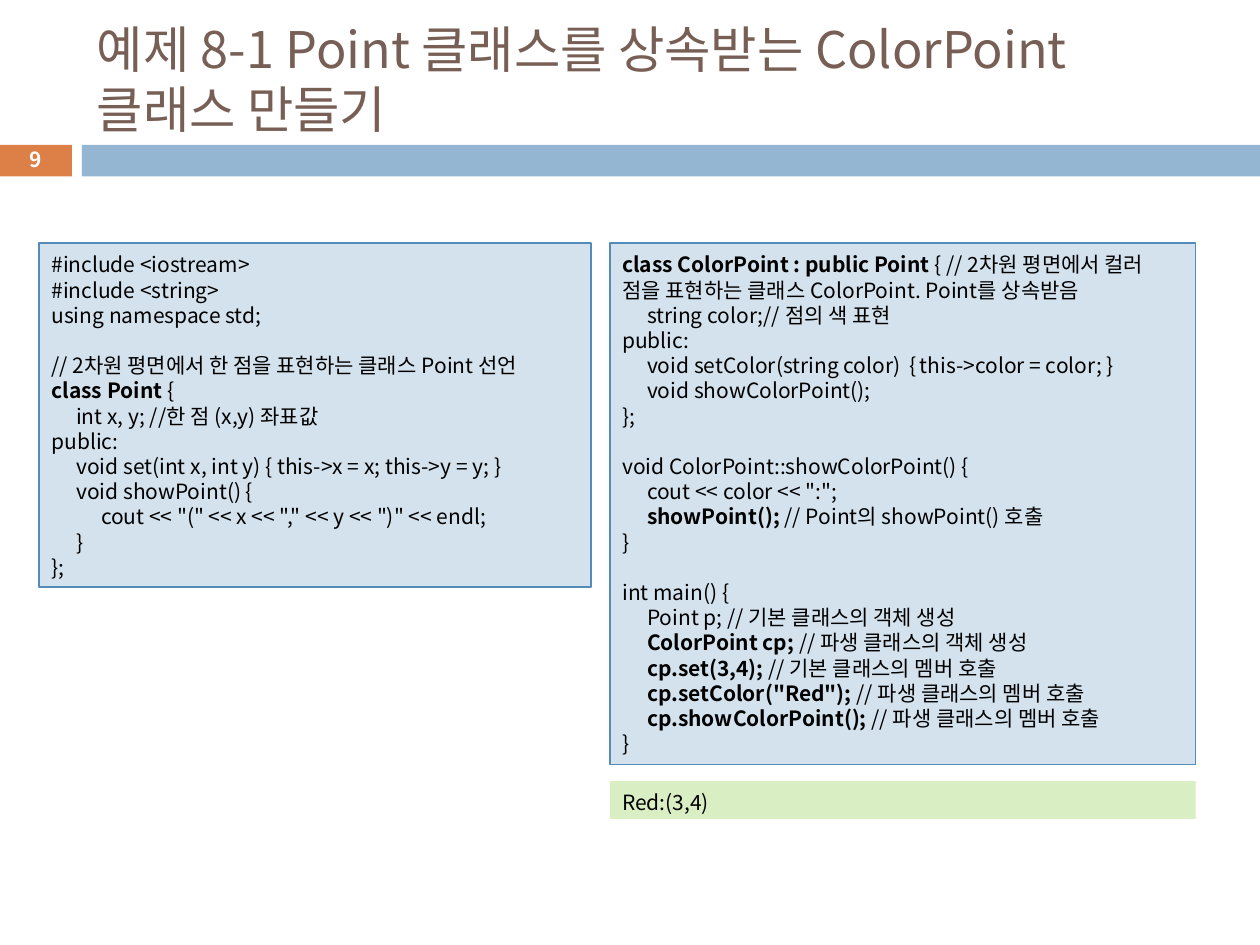
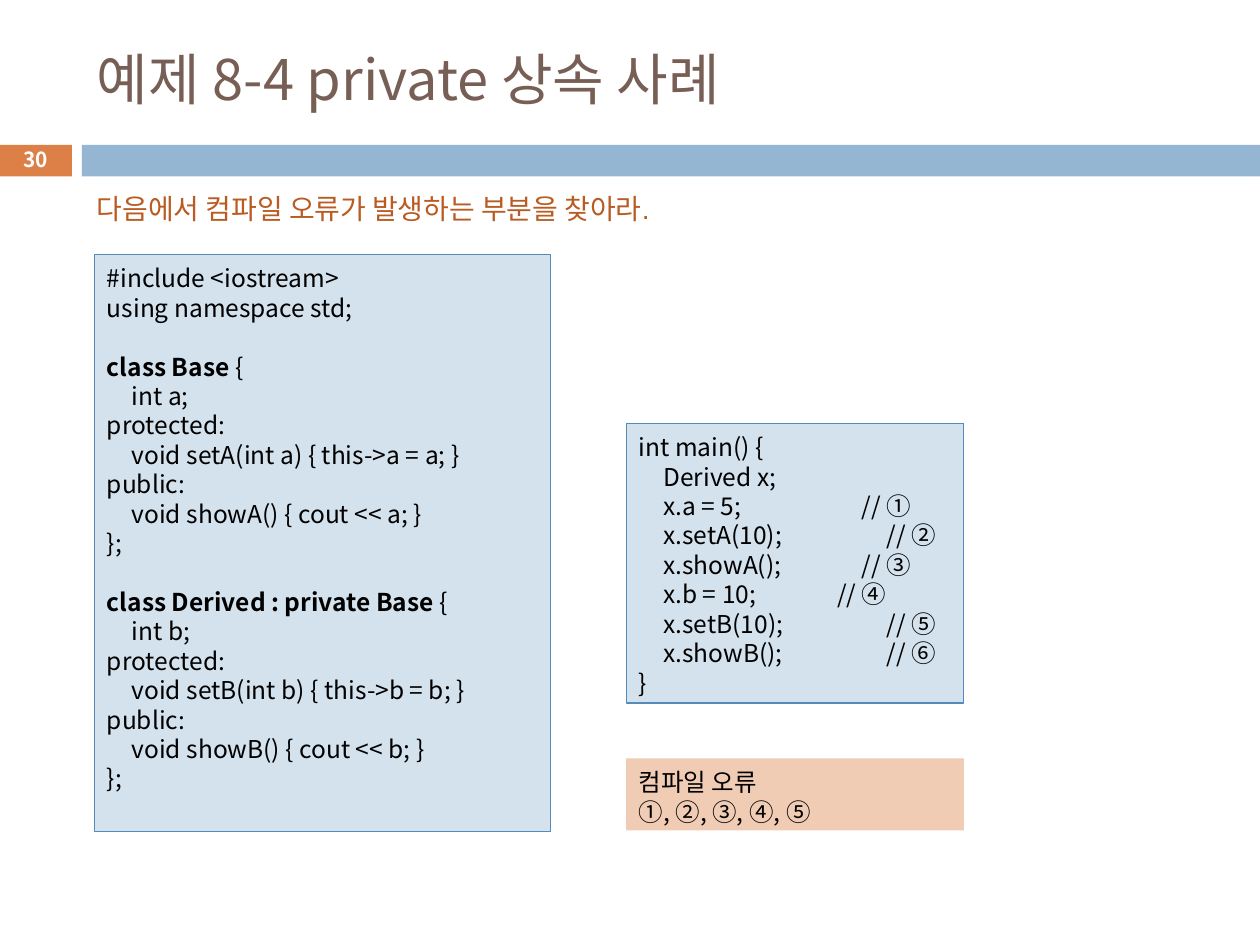
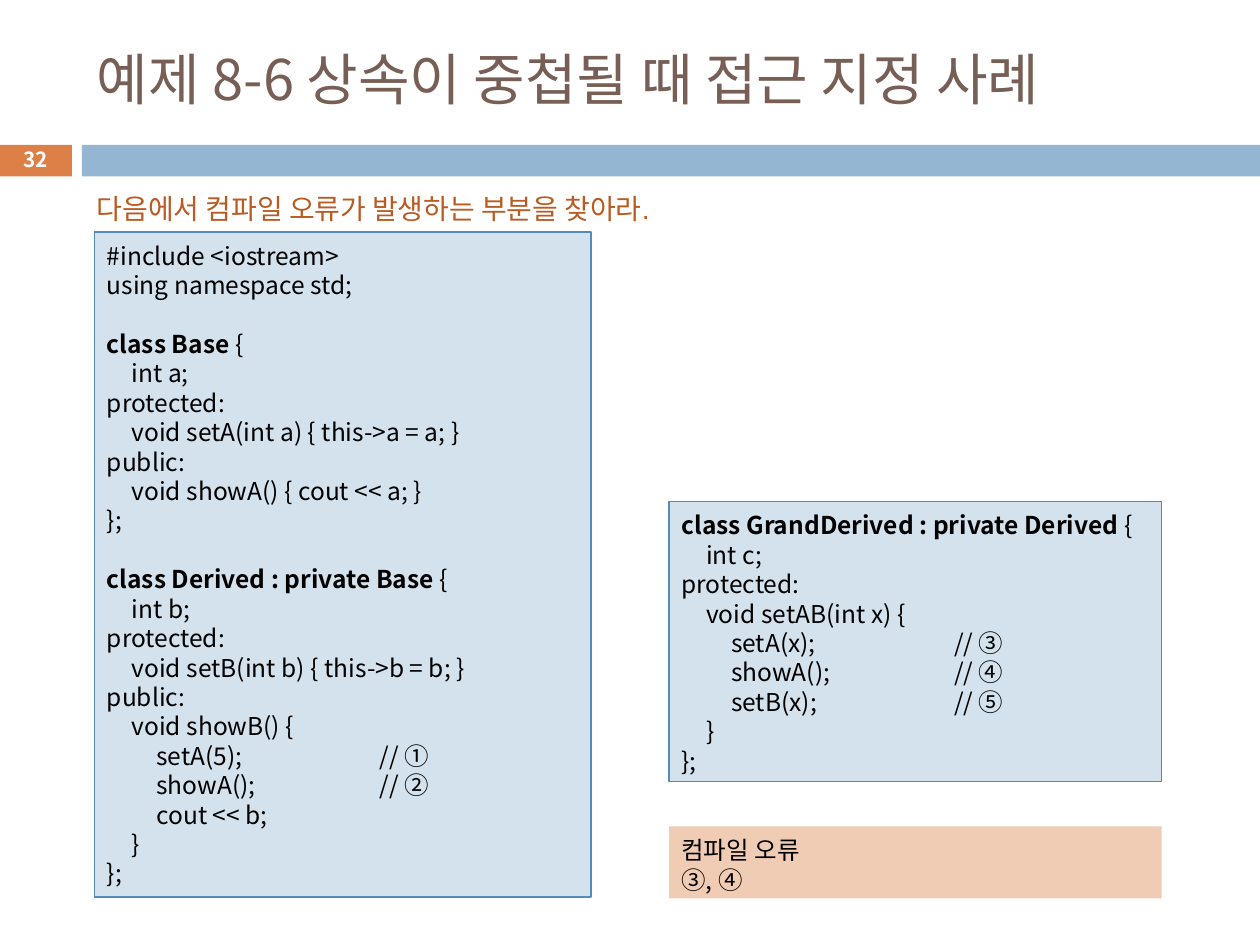
from pptx import Presentation
from pptx.dml.color import RGBColor
from pptx.enum.shapes import MSO_SHAPE
from pptx.enum.text import MSO_ANCHOR, PP_ALIGN
from pptx.oxml.ns import qn
from pptx.util import Inches, Pt
from lxml import etree

ORANGE = RGBColor(0xDD, 0x80, 0x47)
BLUE = RGBColor(0x94, 0xB6, 0xD2)
BROWN = RGBColor(0x77, 0x5F, 0x55)
RUST = RGBColor(0xB9, 0x5B, 0x22)
CODE_FILL = RGBColor(0xD4, 0xE2, 0xED)
CODE_LINE = RGBColor(0x55, 0x8B, 0xB8)
OUTPUT_FILL = RGBColor(0xDA, 0xEE, 0xC4)
ERROR_FILL = RGBColor(0xF1, 0xCC, 0xB5)
BLACK = RGBColor(0, 0, 0)
WHITE = RGBColor(0xFF, 0xFF, 0xFF)

FONT = "Noto Sans CJK KR"
LINE_HEIGHT = 1.2
TAB_STEP = Pt(14.17)
TAB_COUNT = 14
QUESTION = "다음에서 컴파일 오류가 발생하는 부분을 찾아라."

POINT_CODE = """#include <iostream>
#include <string>
using namespace std;

// 2차원 평면에서 한 점을 표현하는 클래스 Point 선언
**class Point **{
\tint x, y; //한 점 (x,y) 좌표값
public:
\tvoid set(int x, int y) { this->x = x; this->y = y; }
\tvoid showPoint() {
\t\tcout << "(" << x << "," << y << ")" << endl;
\t}
};"""

COLOR_POINT_CODE = """**class ColorPoint : public Point **{ // 2차원 평면에서 컬러 점을 표현하는 클래스 ColorPoint. Point를 상속받음
\tstring color;// 점의 색 표현
public:
\tvoid setColor(string color)  {\tthis->color = color; }
\tvoid showColorPoint();
};

void ColorPoint::showColorPoint() {
\tcout << color << ":";
\t**showPoint(); **// Point의 showPoint() 호출
}

int main() {
\tPoint p; // 기본 클래스의 객체 생성
\t**ColorPoint cp; **// 파생 클래스의 객체 생성
\t**cp.set(3,4); **// 기본 클래스의 멤버 호출
\t**cp.setColor("Red"); **// 파생 클래스의 멤버 호출
\t**cp.showColorPoint(); **// 파생 클래스의 멤버 호출
}"""

BASE_CODE = """#include <iostream>
using namespace std;

**class Base **{
\tint a;
protected:
\tvoid setA(int a) { this->a = a; }
public:
\tvoid showA() { cout << a; }
};

**class Derived : private Base **{
\tint b;
protected:
\tvoid setB(int b) { this->b = b; }
public:
"""

DERIVED_SHORT_END = """\tvoid showB() { cout << b; }
};"""

DERIVED_LONG_END = """\tvoid showB() {
\t\tsetA(5); \t\t\t\t\t\t// ①
\t\tshowA(); \t\t\t\t\t// ②
\t\tcout << b;
\t}
};"""

MAIN_CODE = """int main() {
\tDerived x;
\tx.a = 5; \t\t\t\t\t// ①
\tx.setA(10); \t\t\t\t// ②
\tx.showA(); \t\t\t\t// ③
\tx.b = 10; \t\t\t\t// ④
\tx.setB(10); \t\t\t\t// ⑤
\tx.showB(); \t\t\t\t// ⑥
}"""

GRAND_DERIVED_CODE = """**class GrandDerived : private Derived **{
\tint c;
protected:
\tvoid setAB(int x) {
\t\tsetA(x); \t\t\t\t\t\t// ③
\t\tshowA(); \t\t\t\t\t// ④
\t\tsetB(x); \t\t\t\t\t\t// ⑤
\t}
};"""


def set_tab_stops(p):
    tabs = etree.SubElement(p._p.get_or_add_pPr(), qn("a:tabLst"))
    for i in range(1, TAB_COUNT + 1):
        etree.SubElement(tabs, qn("a:tab"), pos=str(TAB_STEP * i), algn="l")


def style_paragraph(p, size, color, font=FONT, bold=None):
    p.line_spacing = Pt(size * LINE_HEIGHT)
    p.font.name, p.font.size, p.font.bold = font, Pt(size), bold
    p.font.color.rgb = color
    latin = p.font._element.find(qn("a:latin"))
    latin.addnext(latin.makeelement(qn("a:ea"), {"typeface": FONT}))


def fill_lines(tf, text, size):
    """Write one paragraph a line; ** marks bold, an empty line becomes space."""
    p, gap = tf.paragraphs[0], False
    for i, line in enumerate(text.split("\n")):
        if not line:
            gap = True
            continue
        if i:
            p = tf.add_paragraph()
        p.alignment = PP_ALIGN.LEFT
        if gap:
            p.space_before = Pt(size * LINE_HEIGHT)
            gap = False
        set_tab_stops(p)
        style_paragraph(p, size, BLACK)
        for j, part in enumerate(line.split("**")):
            if part:
                r = p.add_run()
                r.text = part
                if j % 2:
                    r.font.bold = True


def add_rect(s, box, fill, line=None):
    sp = s.shapes.add_shape(MSO_SHAPE.RECTANGLE, *map(Inches, box))
    sp.shadow.inherit = False
    sp.fill.solid()
    sp.fill.fore_color.rgb = fill
    if line is None:
        sp.line.fill.background()
    else:
        sp.line.color.rgb = line
        sp.line.width = Pt(0.75)
    return sp


def add_panel(s, box, text, size, fill=CODE_FILL, line=None):
    tf = add_rect(s, box, fill, line).text_frame
    tf.word_wrap = True
    tf.vertical_anchor = MSO_ANCHOR.TOP
    tf.margin_top = Inches(0.07)
    tf.margin_bottom = Inches(0.03)
    fill_lines(tf, text, size)


def add_code(s, box, text, size=14):
    add_panel(s, box, text, size, line=CODE_LINE)


def add_label(s, box, text, size, color, anchor=MSO_ANCHOR.MIDDLE,
              align=PP_ALIGN.LEFT, **style):
    tf = s.shapes.add_textbox(*map(Inches, box)).text_frame
    tf.word_wrap = True
    tf.vertical_anchor = anchor
    p = tf.paragraphs[0]
    p.text = text
    p.alignment = align
    style_paragraph(p, size, color, **style)


def add_example_slide(prs, title, number, title_size=32):
    s = prs.slides.add_slide(prs.slide_layouts[6])
    add_rect(s, (-0.01, 1.15, 0.58, 0.25), ORANGE)
    add_rect(s, (0.65, 1.15, 9.35, 0.25), BLUE)
    add_label(s, (0.67, 0.25, 8.92, 0.74), title, title_size, BROWN)
    add_label(s, (-0.01, 1.13, 0.58, 0.27), str(number), 11.9, WHITE,
              align=PP_ALIGN.CENTER, bold=True)
    return s


def add_quiz_slide(prs, title, number, base_box, base_code, use_box, use_code,
                   answer_top, answer):
    """Ask for the compile errors: base classes left, their use and the answer right."""
    s = add_example_slide(prs, title, number)
    add_code(s, base_box, base_code)
    add_code(s, use_box, use_code)
    add_label(s, (0.67, 1.47, 5.13, 0.37), QUESTION, 16, RUST,
              anchor=MSO_ANCHOR.TOP, font="Arial")
    left, _, width, _ = use_box
    add_panel(s, (left, answer_top, width, 0.57), "컴파일 오류\n" + answer, 14,
              ERROR_FILL)


def add_color_point_slide(prs):
    s = add_example_slide(
        prs, "예제 8-1 Point 클래스를 상속받는 ColorPoint 클래스 만들기", 9, 28.8)
    add_code(s, (0.31, 1.93, 4.38, 2.73), POINT_CODE, 12)
    add_code(s, (4.84, 1.93, 4.65, 4.14), COLOR_POINT_CODE, 12)
    add_panel(s, (4.84, 6.2, 4.65, 0.3), "Red:(3,4)", 12, OUTPUT_FILL)


def main():
    prs = Presentation()
    prs.slide_width, prs.slide_height = Inches(10), Inches(7.5)
    add_color_point_slide(prs)
    add_quiz_slide(prs, "예제 8-4 private 상속 사례", 30,
                   (0.75, 2.02, 3.62, 4.58), BASE_CODE + DERIVED_SHORT_END,
                   (4.97, 3.36, 2.68, 2.22), MAIN_CODE,
                   6.02, "①, ②, ③, ④, ⑤")
    add_quiz_slide(prs, "예제 8-6 상속이 중첩될 때 접근 지정 사례", 32,
                   (0.75, 1.84, 3.94, 5.28), BASE_CODE + DERIVED_LONG_END,
                   (5.31, 3.98, 3.91, 2.22), GRAND_DERIVED_CODE,
                   6.56, "③, ④")
    prs.save("out.pptx")


if __name__ == "__main__":
    main()
